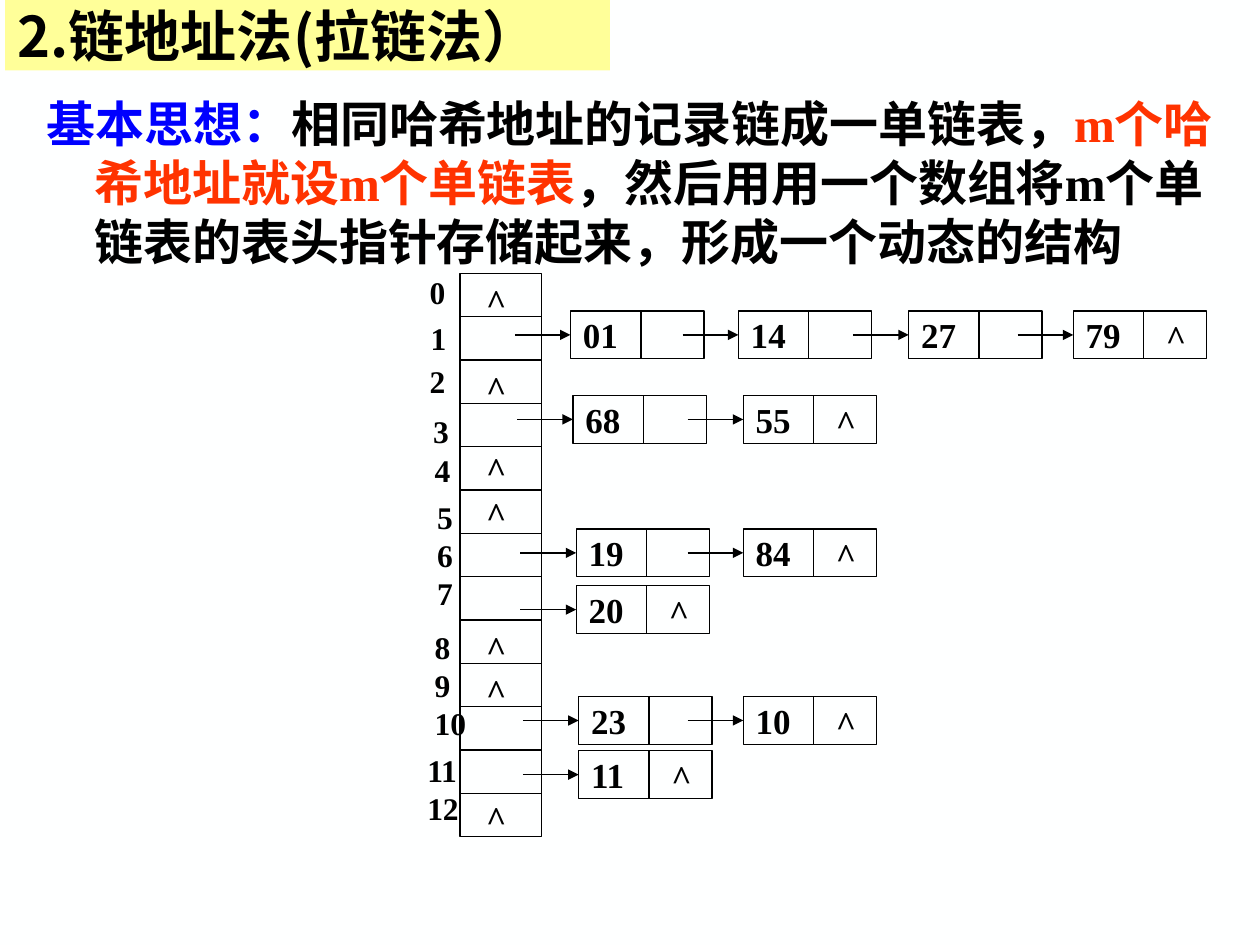
from dataclasses import dataclass
from typing import Optional

from lxml.etree import SubElement
from pptx import Presentation
from pptx.dml.color import RGBColor
from pptx.enum.shapes import MSO_CONNECTOR, MSO_SHAPE
from pptx.enum.text import MSO_ANCHOR, MSO_AUTO_SIZE, PP_ALIGN
from pptx.oxml.ns import qn
from pptx.util import Inches, Pt

BLACK = RGBColor(0x00, 0x00, 0x00)
BLUE = RGBColor(0x00, 0x00, 0xFF)
RED = RGBColor(0xFF, 0x33, 0x00)
YELLOW = RGBColor(0xFF, 0xFF, 0x99)
PAPER = RGBColor(0xFE, 0xFF, 0xFF)
SERIF, SANS = "Times New Roman", "Noto Sans CJK SC"

# The grid starts at the top left of the head-pointer array:
# one column is the array's width, one row is one of its slots.
ARRAY_LEFT, ARRAY_TOP = 3.65, 2.17
COL, SLOTS = 0.65, 13
ROW = 4.47 / SLOTS
NODE_COLS, NODE_ROWS = 1.63, 1.1
DIVIDER_COLS, ARROW_COLS, NULL_COLS = 0.86, 0.68, 0.98


@dataclass(frozen=True)
class Chain:
    row: float
    nodes: tuple[tuple[float, str], ...]


@dataclass(frozen=True)
class SlotLabel:
    col: float
    row: float
    indexes: tuple[str, ...]


CHAINS = (
    Chain(0.87, ((1.35, "01"), (3.4, "14"), (5.48, "27"), (7.49, "79"))),
    Chain(2.82, ((1.38, "68"), (3.46, "55"))),
    Chain(5.9, ((1.42, "19"), (3.46, "84"))),
    Chain(7.21, ((1.42, "20"),)),
    Chain(9.77, ((1.45, "23"), (3.46, "10"))),
    Chain(11.02, ((1.45, "11"),)),
)
EMPTY_SLOT_ROWS = (0, 2.01, 3.87, 4.92, 8, 8.99, 11.92)
SLOT_LABELS = (
    SlotLabel(-0.52, -0.15, ("0",)),
    SlotLabel(-0.51, 0.9, ("1",)),
    SlotLabel(-0.52, 1.89, ("2",)),
    SlotLabel(-0.48, 3.05, ("3",)),
    SlotLabel(-0.46, 3.96, ("4",)),
    SlotLabel(-0.43, 5.03, ("5", "6", "7")),
    SlotLabel(-0.46, 8.03, ("8", "9", "10")),
    SlotLabel(-0.55, 10.88, ("11", "12")),
)


def x(col: float) -> int:
    return Inches(ARRAY_LEFT + col * COL)


def y(row: float) -> int:
    return Inches(ARRAY_TOP + row * ROW)


def write(holder, paragraphs, *, size: float, font: str = SERIF,
          anchor=MSO_ANCHOR.TOP, wrap: bool = False,
          pitch: Optional[float] = None) -> None:
    """Fill a shape with paragraphs, each a sequence of (text, colour) runs."""
    frame = holder.text_frame
    frame.auto_size = MSO_AUTO_SIZE.NONE
    frame.word_wrap = wrap
    frame.vertical_anchor = anchor
    for number, runs in enumerate(paragraphs):
        paragraph = frame.add_paragraph() if number else frame.paragraphs[0]
        paragraph.alignment = PP_ALIGN.LEFT
        paragraph.space_before = Pt(0)
        if pitch:
            paragraph.line_spacing = Pt(pitch)
        for text, color in runs:
            run = paragraph.add_run()
            run.text = text
            run.font.size, run.font.bold, run.font.name = Pt(size), True, font
            run.font.color.rgb = color
            SubElement(run.font._element, qn("a:ea")).set("typeface", SANS)


def add_box(slide, col: float, row: float, cols: float, rows: float):
    box = slide.shapes.add_shape(
        MSO_SHAPE.RECTANGLE, x(col), y(row), Inches(cols * COL), Inches(rows * ROW))
    box.shadow.inherit = False
    box.fill.background()
    box.line.color.rgb = BLACK
    box.line.width = Pt(0.75)
    return box


def add_line(slide, start: tuple[float, float], end: tuple[float, float]):
    line = slide.shapes.add_connector(
        MSO_CONNECTOR.STRAIGHT, x(start[0]), y(start[1]), x(end[0]), y(end[1]))
    line.line.color.rgb = BLACK
    line.line.width = Pt(0.75)
    SubElement(line._element.spPr, qn("a:effectLst"))
    return line


def add_null(slide, col: float, row: float) -> None:
    mark = slide.shapes.add_textbox(x(col), y(row), Inches(0.36), Inches(0.44))
    write(mark, [[("^", BLACK)]], size=20)


def add_array(slide) -> None:
    add_box(slide, 0, 0, 1, SLOTS)
    for row in range(1, SLOTS):
        add_line(slide, (0, row), (1, row))
    for row in EMPTY_SLOT_ROWS:
        add_null(slide, 0.17, row)


def add_chain(slide, chain: Chain) -> None:
    top, middle = chain.row, chain.row + NODE_ROWS / 2
    for col, key in chain.nodes:
        node = add_box(slide, col, top, NODE_COLS, NODE_ROWS)
        write(node, [[(key, BLACK)]], size=20, anchor=MSO_ANCHOR.MIDDLE)
        divider = col + DIVIDER_COLS
        add_line(slide, (divider, top), (divider, top + NODE_ROWS))
        arrow = add_line(slide, (col - ARROW_COLS, middle), (col, middle))
        arrow.end_connect(node, 1)
        SubElement(arrow.line._get_or_add_ln(), qn("a:tailEnd")).set("type", "triangle")
    last_col = chain.nodes[-1][0]
    add_null(slide, last_col + NULL_COLS, top - 0.04)


def add_slot_label(slide, label: SlotLabel) -> None:
    rows = len(label.indexes) * 0.88 + 0.29
    box = slide.shapes.add_textbox(
        x(label.col), y(label.row), Inches(0.85), Inches(rows * ROW))
    write(box, [[(index, BLACK)] for index in label.indexes],
          size=18, wrap=True, pitch=21.7)


def place(holder, left: float, top: float, width: float, height: float) -> None:
    holder.left, holder.top = Inches(left), Inches(top)
    holder.width, holder.height = Inches(width), Inches(height)


def add_heading(slide) -> None:
    title, idea = slide.placeholders
    place(title, 0.04, 0, 4.8, 0.56)
    title.fill.solid()
    title.fill.fore_color.rgb = YELLOW
    write(title, [[("2.链地址法(拉链法）", BLACK)]],
          size=32, font=SANS, anchor=MSO_ANCHOR.MIDDLE, wrap=True)

    place(idea, 0.27, 0.69, 9.53, 1.5)
    properties = idea.text_frame.paragraphs[0]._p.get_or_add_pPr()
    properties.set("marL", str(Inches(0.38)))
    properties.set("indent", str(-Inches(0.38)))
    SubElement(properties, qn("a:buNone"))
    write(idea, [[
        ("基本思想：", BLUE),
        ("相同哈希地址的记录链成一单链表，", BLACK),
        ("m个哈希地址就设m个单链表", RED),
        ("，然后用用一个数组将m个单链表的表头指针存储起来，形成一个动态的结构", BLACK),
    ]], size=28, wrap=True, pitch=33.7)


def main() -> None:
    deck = Presentation()
    deck.slide_width, deck.slide_height = Inches(10), Inches(7.5)
    slide = deck.slides.add_slide(deck.slide_layouts[1])
    slide.background.fill.solid()
    slide.background.fill.fore_color.rgb = PAPER
    add_heading(slide)
    add_array(slide)
    for chain in CHAINS:
        add_chain(slide, chain)
    for label in SLOT_LABELS:
        add_slot_label(slide, label)
    deck.save("out.pptx")


if __name__ == "__main__":
    main()
